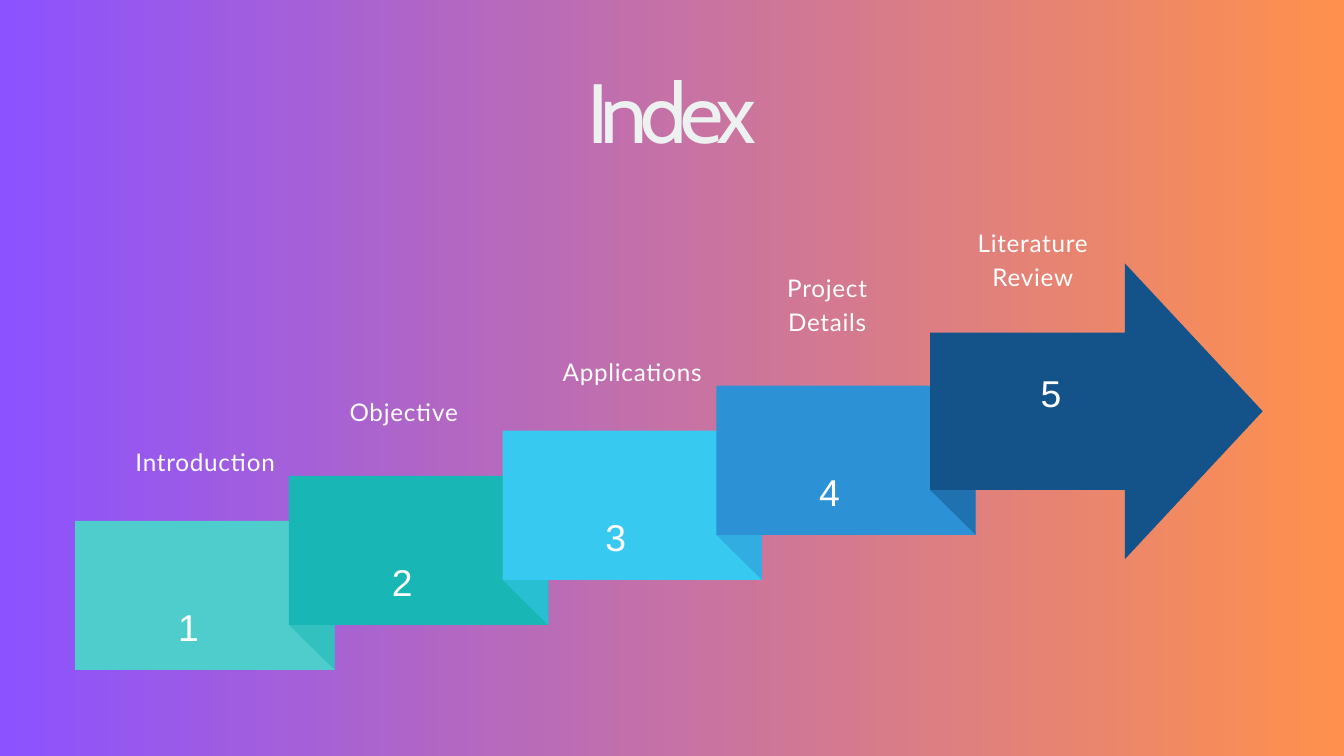
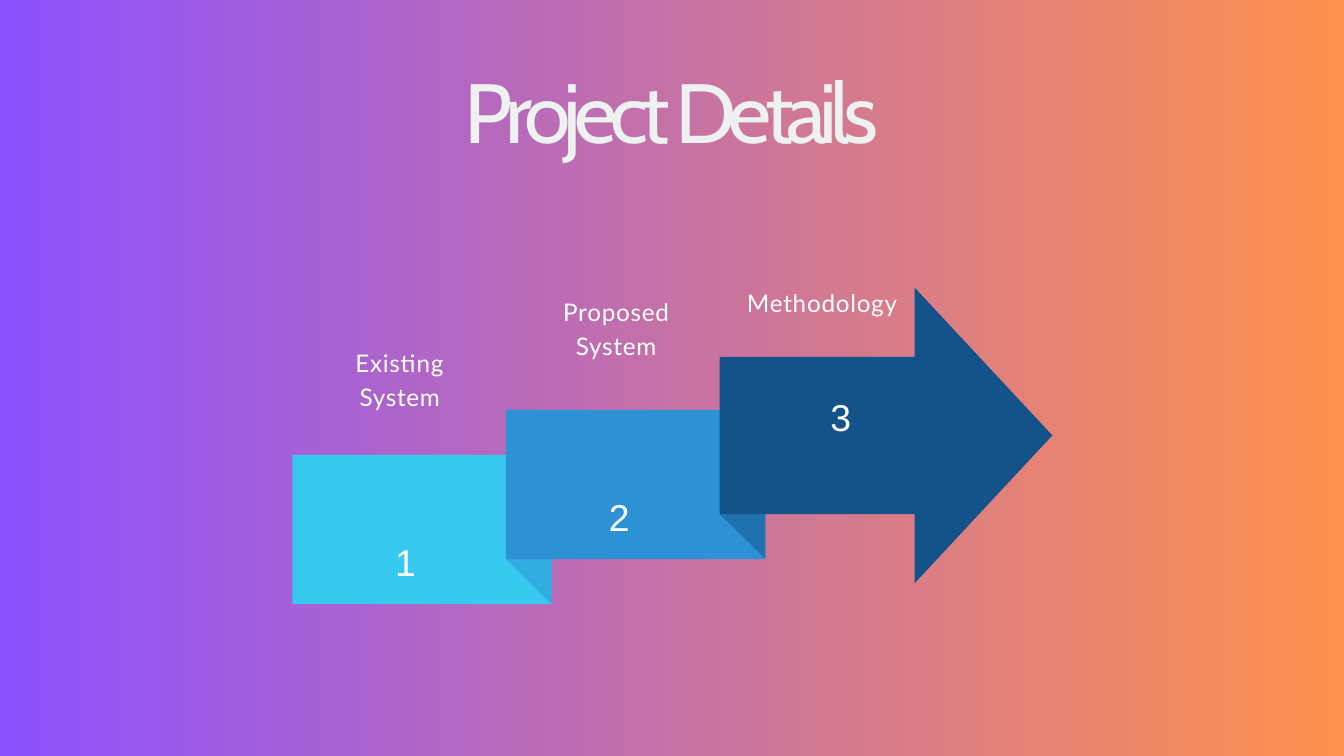
from lxml import etree
from pptx import Presentation
from pptx.dml.color import RGBColor
from pptx.enum.shapes import MSO_SHAPE
from pptx.enum.text import MSO_ANCHOR, MSO_AUTO_SIZE, PP_ALIGN
from pptx.oxml.ns import qn
from pptx.util import Pt

RECTANGLE = MSO_SHAPE.RECTANGLE
RIGHT_TRIANGLE = MSO_SHAPE.RIGHT_TRIANGLE
RIGHT_ARROW = MSO_SHAPE.RIGHT_ARROW
TOP, MIDDLE = MSO_ANCHOR.TOP, MSO_ANCHOR.MIDDLE
GROW, FIXED = MSO_AUTO_SIZE.SHAPE_TO_FIT_TEXT, MSO_AUTO_SIZE.NONE
CENTER = PP_ALIGN.CENTER

PX = 9144  # 100 px to the inch
WHITE = "FFFFFF"
BACKGROUND = ("8C52FF", "FF914D")
STEP_COLOURS = ("4FCDCC", "18B6B4", "37C9EF", "2C92D5", "13538A")

BAND_WIDTH, BAND_HEIGHT = 386, 222
STEP_RIGHT, STEP_UP = 318, 67
FOLD_WIDTH = BAND_WIDTH - STEP_RIGHT
ARROW_WIDTH, ARROW_HEIGHT = 495, 440
ARROW_BODY, ARROW_HEAD = 234, 205
ARROW_RISE = 182  # from the top of the last band to the tip of the arrow head

TITLE = dict(size=90, font="Cabin", colour="EDF1EF", spacing=-7.4, leading=86.4)
LABEL = dict(size=26, font="Lato", spacing=0.8, leading=36.4)
NUMBER = dict(size=40, font="Arial", spacing=2, leading=56,
              anchor=MIDDLE, inset=6, fit=FIXED)

# title, left and top of the first band, labels as (text, left, top, width, lines)
SLIDES = [
    ("Index", 112, 775, [
        ("Introduction", 193, 658, 225, 1),
        ("Objective", 498, 584, 206, 1),
        ("Applications", 820, 524, 242, 1),
        ("Project\nDetails", 1128, 399, 206, 2),
        ("Literature\nReview", 1434, 333, 206, 2),
    ]),
    ("Project Details", 435, 677, [
        ("Existing System", 474, 511, 242, 2),
        ("Proposed\nSystem", 814, 435, 206, 2),
        ("Methodology", 1103, 422, 241, 1),
    ]),
]


def write(shape, text, size, font, spacing, leading, colour=WHITE,
          anchor=TOP, inset=0, fit=GROW):
    """Fill a shape's text frame, one centred paragraph for each line of text."""
    frame = shape.text_frame
    frame.word_wrap = True
    frame.auto_size = fit
    frame.vertical_anchor = anchor
    frame.margin_left = frame.margin_right = inset * PX
    frame.margin_top = frame.margin_bottom = inset * PX
    frame.text = text
    for para in frame.paragraphs:
        para.alignment = CENTER
        para.line_spacing = Pt(leading)
        for span in para.runs:
            span.font.size = Pt(size)
            span.font.name = font
            span.font.color.rgb = RGBColor.from_string(colour)
            span.font._element.set("spc", str(round(spacing * 100)))


def add_block(page, kind, left, top, width, height, colour, opacity=100):
    """Add a preset shape with a plain fill, no outline and no shadow."""
    block = page.shapes.add_shape(kind, left * PX, top * PX, width * PX, height * PX)
    block.shadow.inherit = False
    block.line.fill.background()
    block.fill.solid()
    block.fill.fore_color.rgb = RGBColor.from_string(colour)
    if opacity < 100:
        fill_colour = block._element.spPr.find(".//" + qn("a:srgbClr"))
        etree.SubElement(fill_colour, qn("a:alpha"), val=str(opacity * 1000))
    return block


deck = Presentation()
deck.slide_width, deck.slide_height = 2000 * PX, 1125 * PX

background = deck.slide_master.background.fill
background.gradient()
background.gradient_angle = 0
for stop, colour, position in zip(background.gradient_stops, BACKGROUND, (0, 1)):
    stop.color.rgb = RGBColor.from_string(colour)
    stop.position = position

layout = deck.slide_layouts.get_by_name("Title Only")
layout_title = layout.placeholders[0]
layout_title.left, layout_title.top = 222 * PX, 119 * PX
layout_title.width, layout_title.height = 1555 * PX, 128 * PX

for title, first_left, first_top, labels in SLIDES:
    page = deck.slides.add_slide(layout)
    write(page.shapes.title, title, **TITLE)

    colours = STEP_COLOURS[-len(labels):]
    last = len(labels) - 1
    for index, colour in enumerate(colours):
        left = first_left + index * STEP_RIGHT
        top = first_top - index * STEP_UP
        if index > 0:
            fold = add_block(page, RIGHT_TRIANGLE, left, top + BAND_HEIGHT,
                             FOLD_WIDTH, STEP_UP, colour, opacity=50)
            fold.rotation = 180
        if index < last:
            add_block(page, RECTANGLE, left, top, BAND_WIDTH, BAND_HEIGHT, colour)
            number_area = (left, top - 32, 337, 369)
        else:
            arrow_top = top + STEP_UP - ARROW_RISE
            arrow = add_block(page, RIGHT_ARROW, left, arrow_top,
                              ARROW_WIDTH, ARROW_HEIGHT, colour)
            arrow.adjustments[0] = ARROW_BODY / ARROW_HEIGHT
            arrow.adjustments[1] = ARROW_HEAD / ARROW_HEIGHT
            number_area = (left, arrow_top + 64, 360, 244)
        number_box = page.shapes.add_textbox(*(length * PX for length in number_area))
        write(number_box, str(index + 1), **NUMBER)

    for text, left, top, width, lines in labels:
        label_box = page.shapes.add_textbox(left * PX, top * PX,
                                            width * PX, lines * 49 * PX)
        write(label_box, text, **LABEL)

deck.save("out.pptx")
